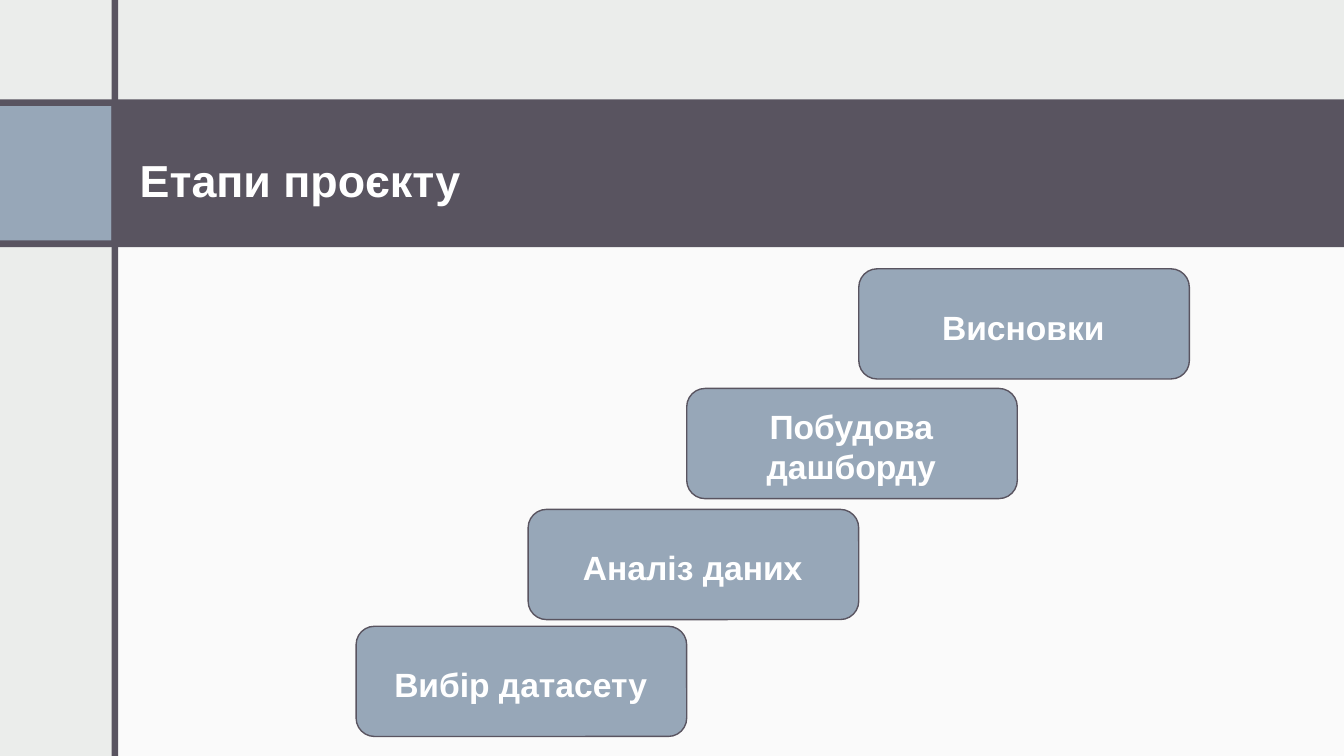
from typing import NamedTuple

from pptx import Presentation
from pptx.dml.color import RGBColor
from pptx.enum.shapes import MSO_SHAPE
from pptx.enum.text import MSO_ANCHOR, PP_ALIGN
from pptx.util import Inches, Pt

RECTANGLE = MSO_SHAPE.RECTANGLE
ROUNDED = MSO_SHAPE.ROUNDED_RECTANGLE
MIDDLE = MSO_ANCHOR.MIDDLE
LEFT, CENTER = PP_ALIGN.LEFT, PP_ALIGN.CENTER

PAPER, PANEL = "EBEDEB", "FAFAFA"
DARK, BLUE, WHITE = "595460", "97A7B8", "FFFFFF"
FONT = "Arial"
PAGE_WIDTH = 10
PAGE_HEIGHT = PAGE_WIDTH * 9 / 16
STEP_WIDTH, STEP_HEIGHT = 2.46, 0.82


class Area(NamedTuple):
    left: float
    top: float
    width: float
    height: float
    color: str


class Step(NamedTuple):
    label: str
    left: float
    top: float


AREAS = [
    Area(0.85, 1.75, 9.15, PAGE_HEIGHT - 1.75, PANEL),
    Area(0, 0.74, PAGE_WIDTH, 1.1, DARK),
    Area(0, 0.79, 0.83, 1, BLUE),
    Area(0.83, 0, 0.05, PAGE_HEIGHT, DARK),
]

STEPS = [
    Step("Вибір датасету", 2.65, 4.66),
    Step("Аналіз даних", 3.93, 3.79),
    Step("Побудова дашборду", 5.11, 2.89),
    Step("Висновки", 6.39, 2),
]


def rgb(color: str) -> RGBColor:
    return RGBColor.from_string(color)


def add_area(page, area: Area, kind=RECTANGLE):
    shape = page.shapes.add_shape(
        kind, Inches(area.left), Inches(area.top), Inches(area.width), Inches(area.height)
    )
    shape.shadow.inherit = False
    shape.fill.solid()
    shape.fill.fore_color.rgb = rgb(area.color)
    shape.line.fill.background()
    return shape


def write_text(box, text: str, size: float, align, insets: tuple) -> None:
    """Write bold white text; insets are left, top, right and bottom in inches."""
    frame = box.text_frame
    frame.word_wrap = True
    frame.vertical_anchor = MIDDLE
    frame.margin_left, frame.margin_top, frame.margin_right, frame.margin_bottom = map(Inches, insets)
    frame.text = text
    paragraph = frame.paragraphs[0]
    paragraph.alignment = align
    font = paragraph.runs[0].font
    font.name, font.size, font.bold = FONT, Pt(size), True
    font.color.rgb = rgb(WHITE)


def add_title(page, text: str) -> None:
    box = page.shapes.add_textbox(Inches(0.95), Inches(0.77), Inches(2.83), Inches(1.06))
    write_text(box, text, 24, LEFT, (0.09, 0.15, 0.09, 0.07))


def add_step(page, step: Step) -> None:
    box = add_area(page, Area(step.left, step.top, STEP_WIDTH, STEP_HEIGHT, BLUE), ROUNDED)
    box.line.color.rgb = rgb(DARK)
    box.line.width = Pt(0.75)
    write_text(box, step.label, 18, CENTER, (0.15, 0.1, 0.16, 0.06))


def main() -> None:
    deck = Presentation()
    deck.slide_width, deck.slide_height = Inches(PAGE_WIDTH), Inches(PAGE_HEIGHT)
    page = deck.slides.add_slide(deck.slide_layouts[6])
    page.background.fill.solid()
    page.background.fill.fore_color.rgb = rgb(PAPER)
    for area in AREAS:
        add_area(page, area)
    add_title(page, "Етапи проєкту")
    for step in STEPS:
        add_step(page, step)
    deck.save("out.pptx")


if __name__ == "__main__":
    main()
